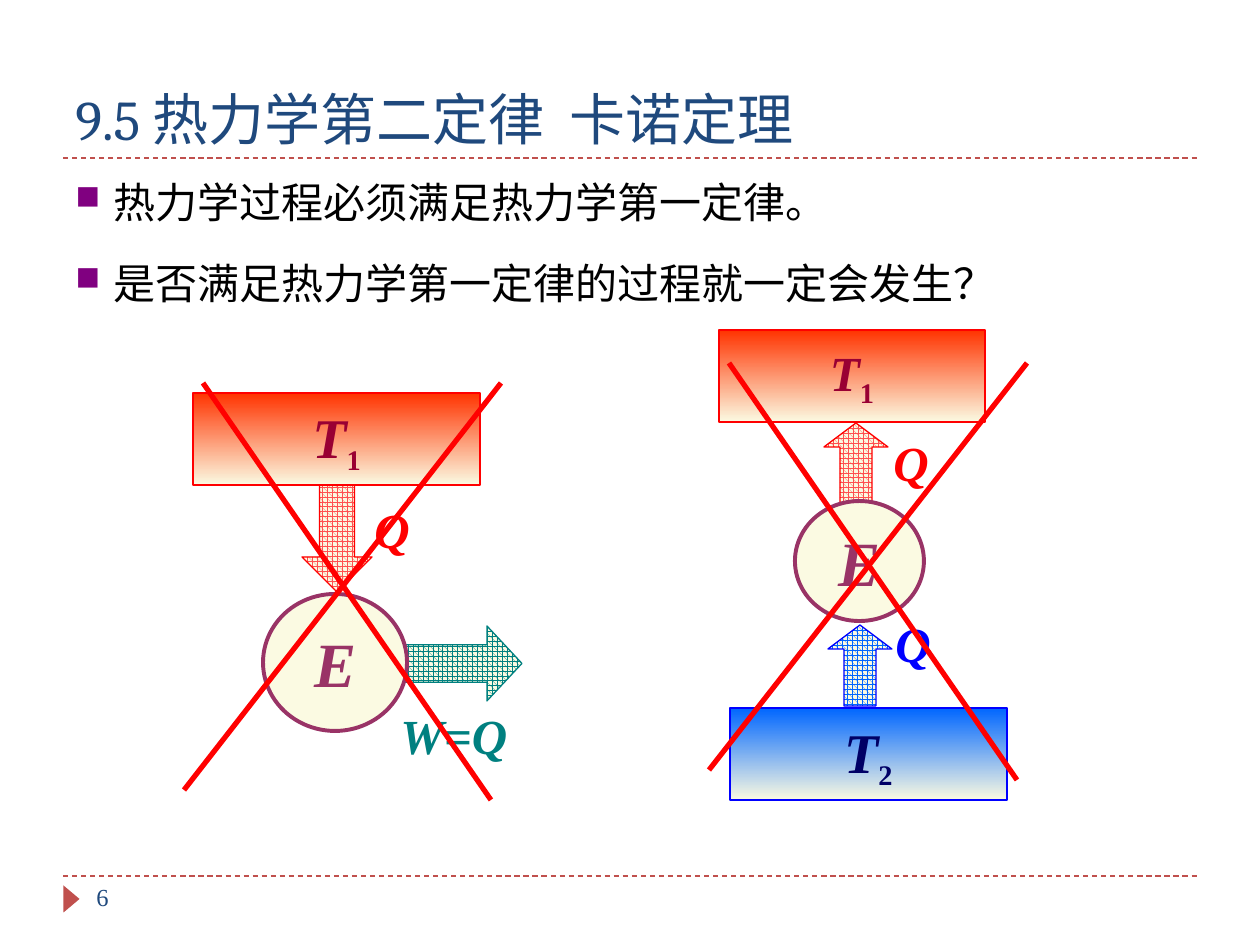
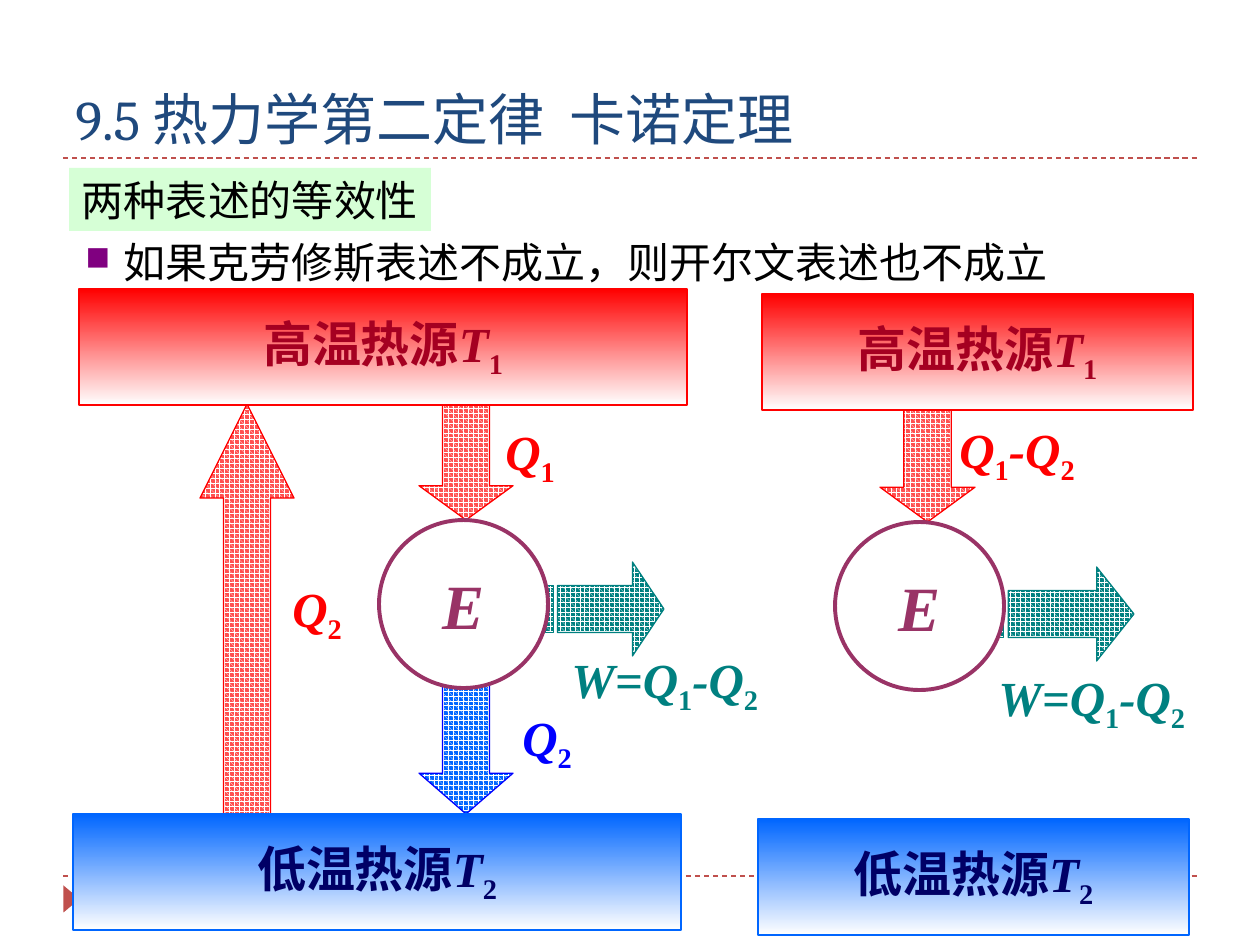
from itertools import groupby

from lxml import etree
from pptx import Presentation
from pptx.dml.color import RGBColor
from pptx.enum.dml import MSO_LINE, MSO_PATTERN
from pptx.enum.shapes import MSO_CONNECTOR, MSO_SHAPE
from pptx.enum.text import MSO_ANCHOR, MSO_AUTO_SIZE, PP_ALIGN
from pptx.oxml.ns import qn
from pptx.util import Emu, Pt

RECTANGLE, OVAL = MSO_SHAPE.RECTANGLE, MSO_SHAPE.OVAL
TRIANGLE = MSO_SHAPE.ISOSCELES_TRIANGLE
STRAIGHT, DASH, SPHERE = MSO_CONNECTOR.STRAIGHT, MSO_LINE.DASH, MSO_PATTERN.SPHERE
MIDDLE, BOTTOM, CENTER = MSO_ANCHOR.MIDDLE, MSO_ANCHOR.BOTTOM, PP_ALIGN.CENTER
FIT_TEXT = MSO_AUTO_SIZE.SHAPE_TO_FIT_TEXT

SCALE = 914400 / 126
SLIDE_SIZE = (1260, 945)
TITLE_FONT, BODY_FONT = "Cambria", "Times New Roman"
SUBSCRIPT_SIZE = 28

BLACK = RGBColor(0x00, 0x00, 0x00)
WHITE = RGBColor(0xFF, 0xFF, 0xFF)
NAVY = RGBColor(0x1F, 0x49, 0x7D)
BRICK = RGBColor(0xC0, 0x50, 0x4D)
RED = RGBColor(0xFF, 0x00, 0x00)
ORANGE_RED = RGBColor(0xFF, 0x33, 0x00)
CORAL = RGBColor(0xFF, 0x50, 0x50)
CRIMSON = RGBColor(0x99, 0x00, 0x33)
DARK_RED = RGBColor(0xA5, 0x00, 0x21)
BLUE = RGBColor(0x00, 0x00, 0xFF)
SKY = RGBColor(0x00, 0x66, 0xFF)
DARK_BLUE = RGBColor(0x00, 0x00, 0x66)
TEAL = RGBColor(0x00, 0x80, 0x80)
PLUM = RGBColor(0x99, 0x33, 0x66)
CREAM = RGBColor(0xFB, 0xFA, 0xE2)
MINT = RGBColor(0xCC, 0xFF, 0xCC)
BULLET_COLOR = "800080"

TITLE = ("9.5 热力学第二定律", "卡诺定理")
RULES = (158, 876)

# Each slide lists its parts from back to front: kind, box, then details.
# reservoir: text, size, text colour, top colour, bottom colour, outline
# engine: fill; arrow: direction, pattern colours, outline, head share
# label: text, colour; cross: ends of two strokes
LAW_QUESTION = [
    ("bullet", (63, 239, 1008, 76), "是否满足热力学第一定律的过程就一定会发生？"),
    ("bullet", (63, 158, 868, 76), "热力学过程必须满足热力学第一定律。"),
    ("arrow", (302, 452, 70, 140), "down", CORAL, CREAM, RED),
    ("reservoir", (193, 393, 287, 92), "T1", 32, CRIMSON, ORANGE_RED, CREAM, RED),
    ("arrow", (382, 626, 140, 75), "right", TEAL, CREAM, TEAL),
    ("label", (388, 699, 132, 72), "W=Q", TEAL),
    ("label", (362, 493, 60, 72), "Q", RED),
    ("engine", (263, 594, 144, 137), CREAM),
    ("arrow", (824, 423, 64, 96), "up", CORAL, CREAM, RED),
    ("label", (883, 607, 60, 72), "Q", BLUE),
    ("reservoir", (719, 330, 266, 92), "T1", 28, CRIMSON, ORANGE_RED, CREAM, RED),
    ("engine", (795, 501, 129, 120), CREAM),
    ("arrow", (828, 625, 64, 96), "up", SKY, CREAM, BLUE),
    ("reservoir", (730, 708, 277, 92), "T2", 32, DARK_BLUE, SKY, CREAM, BLUE),
    ("label", (881, 426, 60, 72), "Q", RED),
    ("cross", (501, 383, 184, 790), (203, 383, 491, 800)),
    ("cross", (1027, 363, 709, 770), (729, 363, 1017, 780)),
]
EQUIVALENCE = [
    ("heading", (69, 168, 362, 63), "两种表述的等效性"),
    ("bullet", (73, 218, 1038, 76), "如果克劳修斯表述不成立，则开尔文表述也不成立"),
    ("arrow", (200, 404, 94, 495), "up", WHITE, CORAL, RED, 0.19),
    ("label", (280, 572, 77, 72), "Q2", RED),
    ("arrow", (538, 562, 126, 94), "right", WHITE, TEAL, TEAL),
    ("label", (559, 643, 218, 72), "W=Q1-Q2", TEAL),
    ("arrow", (419, 383, 94, 137), "down", WHITE, CORAL, RED),
    ("label", (510, 701, 77, 72), "Q2", BLUE),
    ("label", (493, 415, 77, 72), "Q1", RED),
    ("arrow", (419, 651, 94, 163), "down", WHITE, SKY, BLUE),
    ("engine", (379, 520, 169, 168), WHITE),
    ("reservoir", (79, 289, 608, 116), "高温热源T1", 28, DARK_RED, RED, WHITE, RED),
    ("reservoir", (73, 814, 608, 116), "低温热源T2", 28, DARK_BLUE, SKY, WHITE, SKY),
    ("label", (986, 661, 218, 72), "W=Q1-Q2", TEAL),
    ("arrow", (880, 383, 95, 139), "down", WHITE, CORAL, RED),
    ("arrow", (985, 567, 149, 94), "right", WHITE, TEAL, TEAL),
    ("engine", (835, 522, 169, 168), WHITE),
    ("label", (947, 413, 146, 72), "Q1-Q2", RED),
    ("reservoir", (762, 294, 431, 116), "高温热源T1", 28, DARK_RED, RED, WHITE, RED),
    ("reservoir", (758, 819, 431, 116), "低温热源T2", 28, DARK_BLUE, SKY, WHITE, SKY),
]
SLIDES = [(LAW_QUESTION, "6"), (EQUIVALENCE, None)]


def px(*lengths):
    return [Emu(round(length * SCALE)) for length in lengths]


def add_span(para, text, size, color, font=BODY_FONT, bold=False, italic=False):
    span = para.add_run()
    span.text = text
    span.font.name, span.font.size = font, Pt(size)
    span.font.color.rgb = color
    span.font.bold, span.font.italic = bold, italic
    return span


def add_formula(para, text, size, color):
    """Italic letters, upright Chinese, and digits as subscripts."""
    def kind(char):
        return "digit" if char.isdigit() else "symbol" if char.isascii() else "word"

    for part, chars in groupby(text, kind):
        part_size = SUBSCRIPT_SIZE if part == "digit" else size
        span = add_span(para, "".join(chars), part_size, color,
                        bold=True, italic=part == "symbol")
        if part == "digit":
            span._r.get_or_add_rPr().set("baseline", "-25000")


def add_text_box(page, box, wrap=True):
    frame = page.shapes.add_textbox(*px(*box)).text_frame
    frame.word_wrap = wrap
    return frame


def add_figure(page, preset, box, outline=None, width=0.75):
    figure = page.shapes.add_shape(preset, *px(*box))
    figure.shadow.inherit = False
    if outline is None:
        figure.line.fill.background()
    else:
        figure.line.color.rgb, figure.line.width = outline, Pt(width)
    frame = figure.text_frame
    frame.word_wrap, frame.vertical_anchor = False, MIDDLE
    frame.paragraphs[0].alignment = CENTER
    return figure


def add_line(page, ends, color, width, dash=None):
    line = page.shapes.add_connector(STRAIGHT, *px(*ends))
    line.line.color.rgb, line.line.width = color, Pt(width)
    if dash is not None:
        line.line.dash_style = dash
    etree.SubElement(line._element.spPr, qn("a:effectLst"))


def add_bullet(page, box, text):
    para = add_text_box(page, box).paragraphs[0]
    para.line_spacing = 1.25
    props = para._p.get_or_add_pPr()
    indent = px(38)[0]
    props.set("marL", str(indent))
    props.set("indent", str(-indent))
    color = etree.SubElement(props, qn("a:buClr"))
    etree.SubElement(color, qn("a:srgbClr"), val=BULLET_COLOR)
    etree.SubElement(props, qn("a:buSzPct"), val="80000")
    etree.SubElement(props, qn("a:buChar"), char="■")
    add_span(para, text, 24, BLACK)


def add_heading(page, box, text):
    band = add_figure(page, RECTANGLE, box)
    band.fill.solid()
    band.fill.fore_color.rgb = MINT
    tint = band._element.spPr.find(qn("a:solidFill"))[0]
    etree.SubElement(tint, qn("a:alpha"), val="80000")
    add_span(band.text_frame.paragraphs[0], text, 24, BLACK)


def add_reservoir(page, box, text, size, color, top, bottom, outline):
    tank = add_figure(page, RECTANGLE, box, outline)
    tank.fill.gradient()
    tank.fill.gradient_angle = 270
    for stop, position, shade in zip(tank.fill.gradient_stops, (0, 1), (top, bottom)):
        stop.position, stop.color.rgb = position, shade
    add_formula(tank.text_frame.paragraphs[0], text, size, color)


def add_engine(page, box, fill):
    engine = add_figure(page, OVAL, box, PLUM, 2.25)
    engine.fill.solid()
    engine.fill.fore_color.rgb = fill
    add_formula(engine.text_frame.paragraphs[0], "E", 36, PLUM)


def add_label(page, box, text, color):
    frame = add_text_box(page, box, wrap=False)
    frame.auto_size = FIT_TEXT
    add_formula(frame.paragraphs[0], text, 28, color)


def add_arrow(page, box, direction, fore, back, outline, head=0.25):
    """Arrow with two tail stripes; points are (share along, share across)."""
    left, top, width, height = box

    def place(along, across):
        if direction == "right":
            return px(left + along * width, top + across * height)
        down = along if direction == "down" else 1 - along
        return px(left + across * width, top + down * height)

    def bar(start, end):
        return [(start, 0.25), (end, 0.25), (end, 0.75), (start, 0.75)]

    neck = 1 - head
    body = [(5 / 32, 0.25), (neck, 0.25), (neck, 0), (1, 0.5),
            (neck, 1), (neck, 0.75), (5 / 32, 0.75)]
    outlines = [[place(*point) for point in points]
                for points in (body, bar(2 / 32, 4 / 32), bar(0, 1 / 32))]
    builder = page.shapes.build_freeform(*outlines[0][0])
    for number, points in enumerate(outlines):
        if number:
            builder.move_to(*points[0])
        builder.add_line_segments(points[1:], close=True)
    arrow = builder.convert_to_shape()
    arrow.shadow.inherit = False
    arrow.fill.patterned()
    arrow.fill.pattern = SPHERE
    arrow.fill.fore_color.rgb, arrow.fill.back_color.rgb = fore, back
    arrow.line.color.rgb, arrow.line.width = outline, Pt(0.75)


def add_cross(page, *strokes):
    for ends in strokes:
        add_line(page, ends, RED, 3)


def add_frame(page, number):
    """Rules, footer marker, title and page number shared by the slides."""
    for y in RULES:
        add_line(page, (63, y, 1197, y), BRICK, 0.75, DASH)
    marker = add_figure(page, TRIANGLE, (58, 891, 27, 16))
    marker.rotation = 90
    marker.fill.solid()
    marker.fill.fore_color.rgb = BRICK
    frame = add_text_box(page, (63, 32, 1134, 126))
    frame.vertical_anchor = BOTTOM
    para = frame.paragraphs[0]
    add_span(para, TITLE[0], 32, NAVY, TITLE_FONT)
    gap = add_span(para, " ", 32, NAVY, TITLE_FONT)
    gap._r.get_or_add_rPr().set("spc", "700")
    add_span(para, TITLE[1], 32, NAVY, TITLE_FONT)
    if number:
        footer = add_text_box(page, (84, 876, 273, 50))
        add_span(footer.paragraphs[0], number, 14, NAVY)


DRAW = {"bullet": add_bullet, "heading": add_heading, "arrow": add_arrow,
        "reservoir": add_reservoir, "engine": add_engine,
        "label": add_label, "cross": add_cross}


def main():
    deck = Presentation()
    deck.slide_width, deck.slide_height = px(*SLIDE_SIZE)
    for parts, number in SLIDES:
        page = deck.slides.add_slide(deck.slide_layouts[6])
        add_frame(page, number)
        for kind, *details in parts:
            DRAW[kind](page, *details)
    deck.save("out.pptx")


if __name__ == "__main__":
    main()
